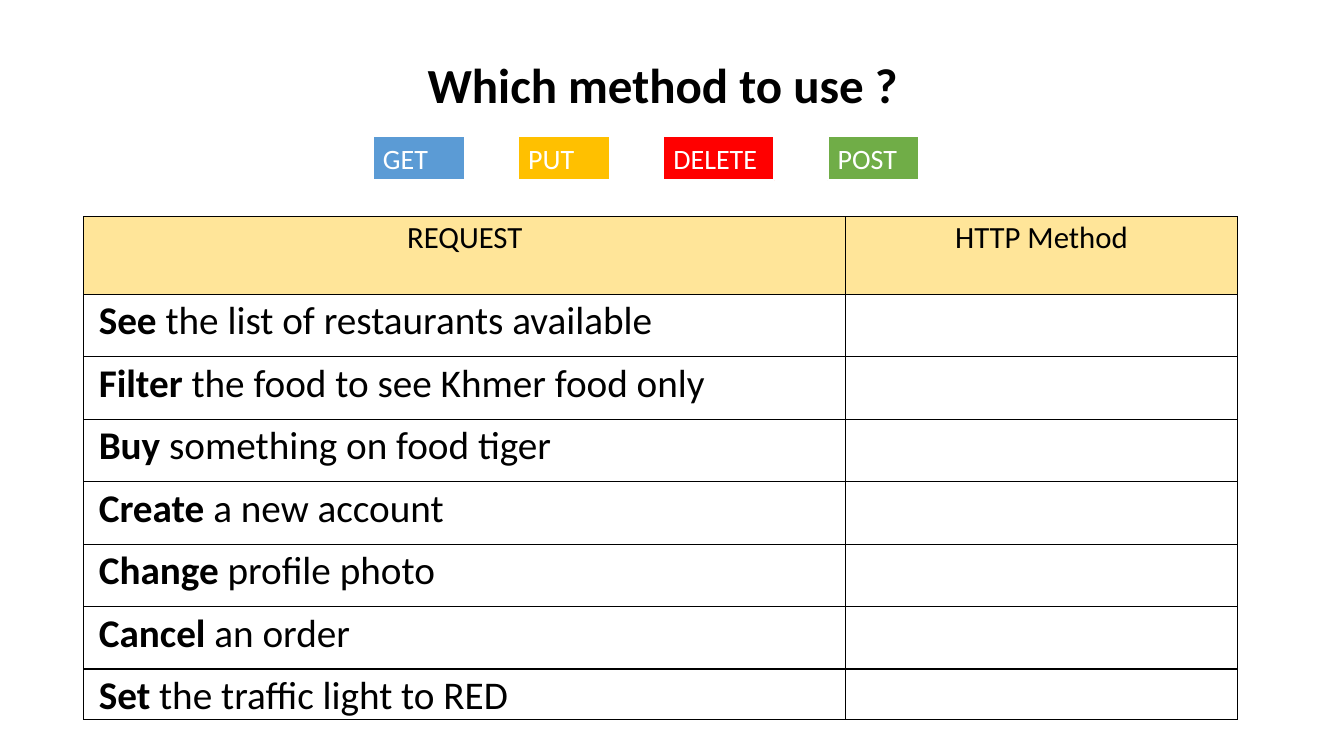
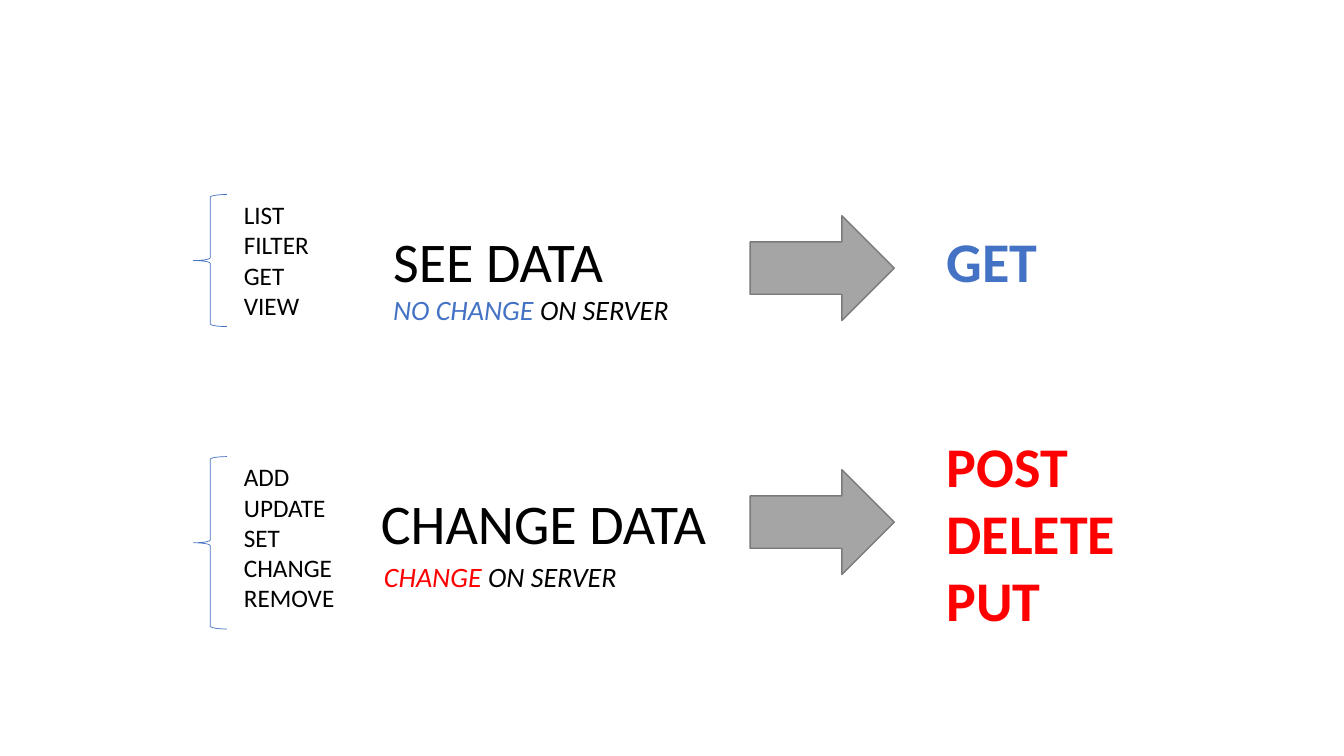
from dataclasses import dataclass
from pptx import Presentation
from pptx.dml.color import RGBColor as RGB
from pptx.enum.shapes import MSO_SHAPE as Kind
from pptx.enum.text import MSO_AUTO_SIZE as Fit, PP_ALIGN as Align
from pptx.oxml import parse_xml
from pptx.oxml.ns import nsdecls
from pptx.util import Pt

PX = 9144  # 100 px to the inch


@dataclass(frozen=True)
class Theme:
    font: str = "Calibri"
    black: str = "000000"
    white: str = "FFFFFF"
    sky: str = "5B9BD5"
    blue: str = "4472C4"
    gold: str = "FFC000"
    red: str = "FF0000"
    green: str = "70AD47"
    cream: str = "FFE599"
    gray: str = "A5A5A5"
    edge: str = "7A7A7A"
    title: int = 35
    head: int = 22
    cell: int = 28
    big: int = 40
    note: int = 20
    word: int = 18


T = Theme()


def emu(*nums):
    return [n * PX for n in nums]


def add_run(para, text, size, color=T.black, bold=False, slant=False):
    run = para.add_run()
    run.text = text
    font = run.font
    font.name, font.size = T.font, Pt(size)
    font.bold, font.italic = bold, slant
    font.color.rgb = RGB.from_string(color)


def add_text(slide, box, lines, size, align=Align.LEFT, wrap=False, **style):
    """Each line is a list of (text, color) runs."""
    frame = slide.shapes.add_textbox(*emu(*box)).text_frame
    frame.word_wrap = wrap
    frame.auto_size = Fit.SHAPE_TO_FIT_TEXT
    for i, line in enumerate(lines):
        para = frame.add_paragraph() if i else frame.paragraphs[0]
        para.alignment = align
        for text, color in line:
            add_run(para, text, size, color, **style)


def add_form(slide, kind, box, fill, line, width):
    form = slide.shapes.add_shape(kind, *emu(*box))
    form.shadow.inherit = False
    if fill:
        form.fill.solid()
        form.fill.fore_color.rgb = RGB.from_string(fill)
    else:
        form.fill.background()
    form.line.color.rgb = RGB.from_string(line)
    form.line.width = Pt(width)
    return form


# Slide 1: method chips and request table
CHIPS = [("GET", T.sky, 91), ("PUT", T.gold, 91),
         ("DELETE", T.red, 110), ("POST", T.green, 91)]
HEADS = ["REQUEST", "HTTP Method"]
TASKS = ["See the list of restaurants available",
         "Filter the food to see Khmer food only",
         "Buy something on food tiger",
         "Create a new account",
         "Change profile photo",
         "Cancel an order",
         "Set the traffic light to RED"]


def add_chips(slide, x, y, high, gap):
    for name, color, wide in CHIPS:
        chip = add_form(slide, Kind.RECTANGLE, (x, y, wide, high),
                        color, T.white, 1.5)
        para = chip.text_frame.paragraphs[0]
        para.alignment = Align.LEFT
        add_run(para, name, T.note, T.white)
        x += wide + gap


def style_cell(cell, fill):
    cell.margin_left = cell.margin_right = 15 * PX
    cell.margin_top = cell.margin_bottom = 0
    props = cell._tc.get_or_add_tcPr()
    for side in "LRTB":
        props.append(parse_xml(
            f'<a:ln{side} {nsdecls("a")} w="12700"><a:solidFill>'
            f'<a:srgbClr val="{T.black}"/></a:solidFill></a:ln{side}>'))
    cell.fill.solid()
    cell.fill.fore_color.rgb = RGB.from_string(fill)


def add_grid(slide, box):
    cols = [756, box[2] - 756]
    rows = [77] + [62] * (len(TASKS) - 1) + [50]
    grid = slide.shapes.add_table(len(rows), len(cols), *emu(*box)).table
    grid.first_row = grid.horz_banding = False
    for col, wide in zip(grid.columns, cols):
        col.width = wide * PX
    for i, (row, high) in enumerate(zip(grid.rows, rows)):
        row.height = high * PX
        for cell in row.cells:
            style_cell(cell, T.white if i else T.cream)
            cell.text_frame.paragraphs[0].line_spacing = 1.07
    for c, head in enumerate(HEADS):
        para = grid.cell(0, c).text_frame.paragraphs[0]
        para.alignment = Align.CENTER
        add_run(para, head, T.head)
    for r, task in enumerate(TASKS, 1):
        para = grid.cell(r, 0).text_frame.paragraphs[0]
        verb, rest = task.split(" ", 1)
        add_run(para, verb, T.cell, bold=True)
        add_run(para, " " + rest, T.cell)


def quiz_slide(slide):
    add_text(slide, (206, 49, 903, 69), [[("Which method to use ?", T.black)]],
             T.title, Align.CENTER, wrap=True, bold=True)
    add_grid(slide, (83, 215, 1144, 500))
    add_chips(slide, 370, 135, 44, 53)


# Slide 2: two bands, each from words to methods
@dataclass(frozen=True)
class Band:
    box: tuple     # left, top, width, height of the whole band
    words: list
    wide: int      # width of the word list
    goal: tuple    # text, x, width
    note: tuple    # colored part, rest, x, y, width
    arrow: int     # y of the arrow
    verbs: list
    verb: tuple    # y, width, height
    color: str


BANDS = [
    Band((192, 193, 926, 131), ["LIST", "FILTER", "GET", "VIEW"], 85,
         ("SEE DATA", 188, 231), ("NO CHANGE", " ON SERVER", 188, 92, 297),
         21, ["GET"], (27, 110, 77), T.blue),
    Band((192, 453, 926, 171), ["ADD", "UPDATE", "SET", "CHANGE", "REMOVE"],
         111, ("CHANGE DATA", 176, 346),
         ("CHANGE", " ON SERVER", 179, 97, 253),
         13, ["POST", "DELETE", "PUT"], (-30, 189, 212), T.red),
]


def add_band(slide, band):
    x, y, _, high = band.box
    # Brace and word list
    add_form(slide, Kind.LEFT_BRACE, (x, y, 33, high), None, T.blue, 0.5)
    add_text(slide, (x + 40, y, band.wide, high),
             [[(word, T.black)] for word in band.words], T.word)
    # Goal with its note
    goal, left, wide = band.goal
    add_text(slide, (x + left, y + 27, wide, 77), [[(goal, T.black)]], T.big)
    key, rest, left, top, wide = band.note
    add_text(slide, (x + left, y + top, wide, 44),
             [[(key, band.color), (rest, T.black)]], T.note, slant=True)
    # Arrow to the methods
    add_form(slide, Kind.RIGHT_ARROW, (x + 552, y + band.arrow, 143, 104),
             T.gray, T.edge, 1)
    top, wide, tall = band.verb
    add_text(slide, (x + 737, y + top, wide, tall),
             [[(verb, band.color)] for verb in band.verbs], T.big, bold=True)


def data_slide(slide):
    for band in BANDS:
        add_band(slide, band)


def main():
    deck = Presentation()
    deck.slide_width, deck.slide_height = emu(1333, 750)
    for build in (quiz_slide, data_slide):
        build(deck.slides.add_slide(deck.slide_layouts[6]))
    deck.save("out.pptx")


if __name__ == "__main__":
    main()
